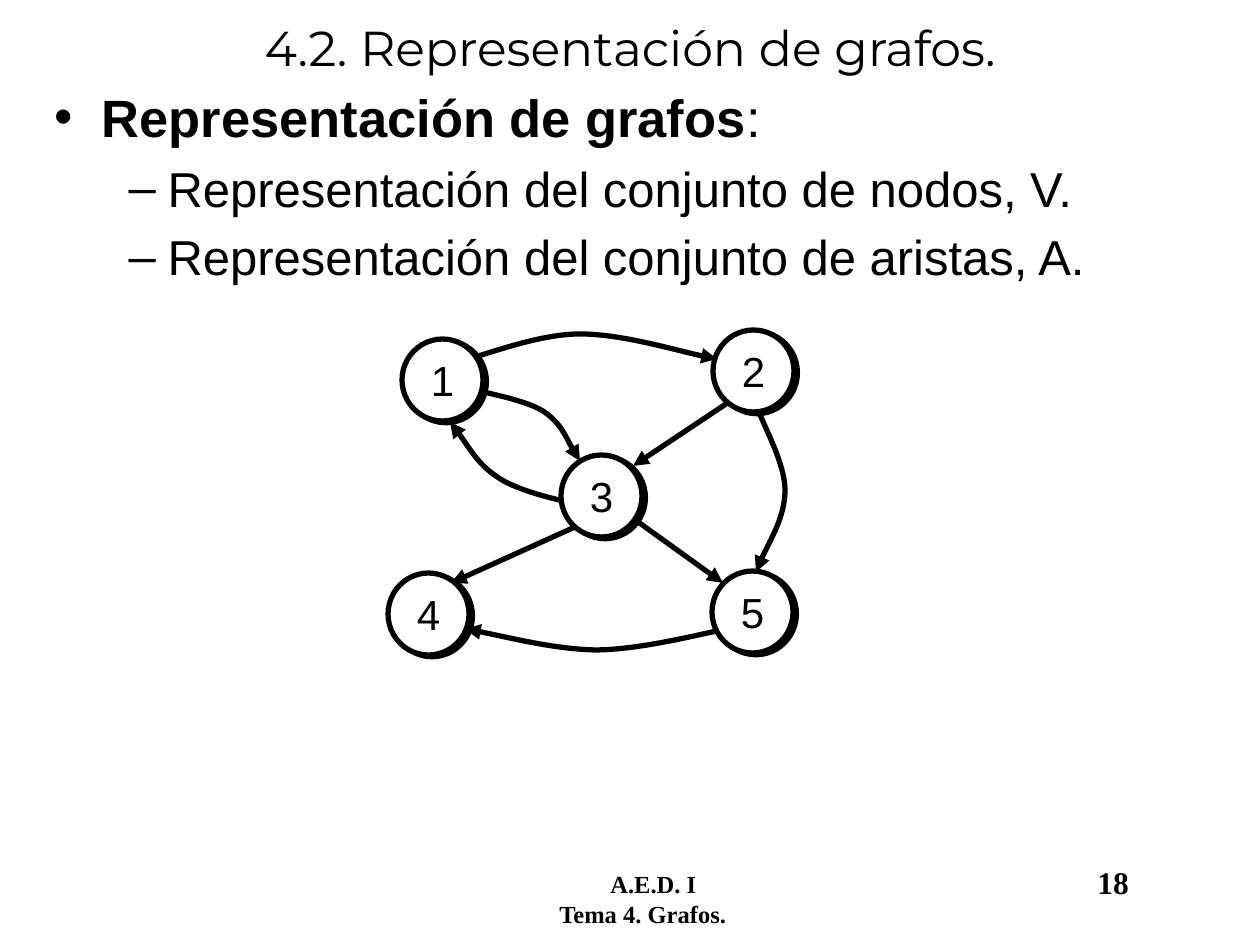
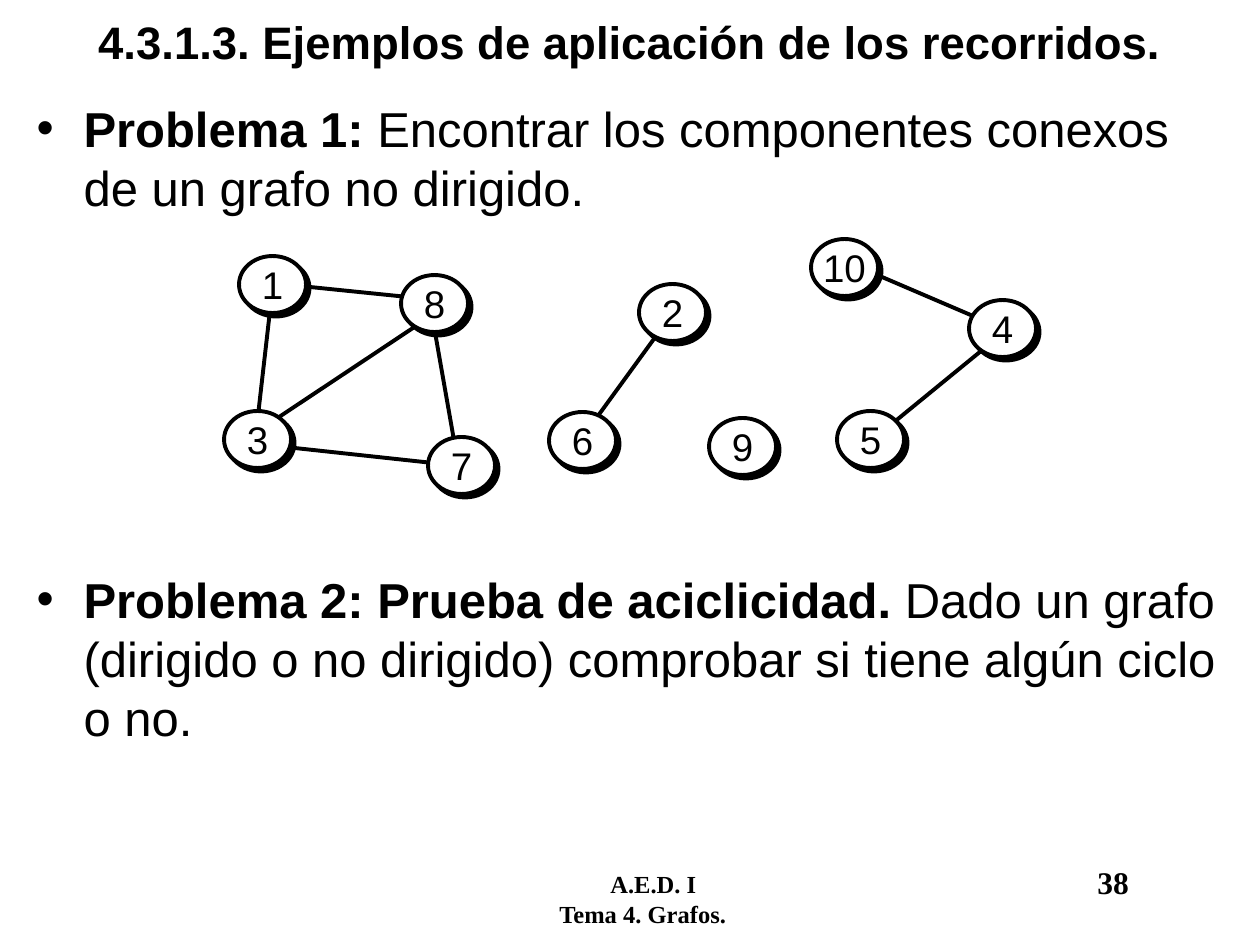
from lxml import etree
from pptx import Presentation
from pptx.dml.color import RGBColor
from pptx.enum.shapes import MSO_CONNECTOR, MSO_SHAPE
from pptx.enum.text import MSO_ANCHOR, MSO_AUTO_SIZE, PP_ALIGN
from pptx.oxml.ns import qn
from pptx.util import Pt

PX = 914400 / 126
WIDTH, HEIGHT = 1260, 945
INK, PAPER = "000000", "FFFFFF"
SANS, SERIF, DISPLAY = "Arial", "Times New Roman", "Montserrat"
OVAL, STRAIGHT = MSO_SHAPE.OVAL, MSO_CONNECTOR.STRAIGHT
MIDDLE, CENTER = MSO_ANCHOR.MIDDLE, PP_ALIGN.CENTER
NO_FIT = MSO_AUTO_SIZE.NONE
TITLE_AND_CONTENT = 1


def px(length):
    return round(length * PX)


def color(hex_text):
    return RGBColor.from_string(hex_text)


def set_font(font, size, name=SANS, bold=False):
    font.size, font.name, font.bold = Pt(size), name, bold
    font.color.rgb = color(INK)


def indent(paragraph, left, first=0):
    properties = paragraph._p.get_or_add_pPr()
    properties.set("marL", str(px(left)))
    properties.set("indent", str(px(first)))


def place(shape, left, top, width, height):
    shape.left, shape.top = px(left), px(top)
    shape.width, shape.height = px(width), px(height)


class GraphSlide:
    """Current slide with the line width, node size and shadow of its graph."""

    def __init__(self, deck, line_width, node_size, number_size, shadow):
        self.slide = deck.slides.add_slide(deck.slide_layouts[TITLE_AND_CONTENT])
        self.shapes = self.slide.shapes
        self.line_width = line_width
        self.node_size = node_size
        self.number_size = number_size
        self.shadow_distance, self.shadow_angle = shadow

    def title(self, text, height, size, name=SANS, bold=False):
        title = self.shapes.title
        place(title, 42, 0, 1176, height)
        title.text_frame.auto_size = NO_FIT
        title.text_frame.vertical_anchor = MIDDLE
        title.text_frame.text = text
        paragraph = title.text_frame.paragraphs[0]
        paragraph.alignment = CENTER
        set_font(paragraph.font, size, name, bold)

    def body(self, box, items):
        """Fill the list; an item is level, size, space before, bold text, plain text."""
        body = self.slide.placeholders[1]
        place(body, *box)
        frame = body.text_frame
        frame.auto_size = NO_FIT
        for position, (level, size, space, strong, plain) in enumerate(items):
            paragraph = frame.add_paragraph() if position else frame.paragraphs[0]
            paragraph.level = level
            indent(paragraph, *((113, -39) if level else (47, -47)))
            paragraph.space_before = Pt(space)
            set_font(paragraph.font, size)
            if strong:
                run = paragraph.add_run()
                run.text, run.font.bold = strong, True
            paragraph.add_run().text = plain

    def text_box(self, box, lines, size):
        """Write footer lines, each given as its left indent and its text."""
        frame = self.shapes.add_textbox(*map(px, box)).text_frame
        frame.word_wrap = True
        for position, (left, text) in enumerate(lines):
            paragraph = frame.add_paragraph() if position else frame.paragraphs[0]
            paragraph.text = text
            indent(paragraph, left)
            set_font(paragraph.font, size, SERIF, True)

    def footer(self, number):
        self.text_box((456, 863, 580, 70), [(142, "A.E.D. I"), (91, "Tema 4. Grafos.")], 14)
        self.text_box((1085, 857, 102, 50), [(0, number)], 18)

    def outline(self, shape, arrow=False):
        shape.line.color.rgb = color(INK)
        shape.line.width = Pt(self.line_width)
        if arrow:
            etree.SubElement(shape.line._get_or_add_ln(), qn("a:tailEnd"), type="triangle")

    def edge(self, start, end, arrow=False):
        line = self.shapes.add_connector(STRAIGHT, *map(px, start + end))
        self.outline(line, arrow)
        etree.SubElement(line._element.spPr, qn("a:effectLst"))

    def curved_arrow(self, *points):
        """Draw a Bézier arrow from a start point and triples of control points."""
        scaled = [(px(x), px(y)) for x, y in points]
        builder = self.shapes.build_freeform(*scaled[0])
        builder.add_line_segments(scaled[1:], close=False)
        curve = builder.convert_to_shape()
        steps = list(curve._element.iter(qn("a:lnTo")))
        for first in range(0, len(steps), 3):
            bezier = etree.Element(qn("a:cubicBezTo"))
            steps[first].addprevious(bezier)
            for step in steps[first:first + 3]:
                bezier.append(step[0])
                step.getparent().remove(step)
        curve.fill.background()
        self.outline(curve, arrow=True)
        curve.shadow.inherit = False

    def node(self, number, left, top):
        node = self.shapes.add_shape(OVAL, *map(px, (left, top, *self.node_size)))
        node.fill.solid()
        node.fill.fore_color.rgb = color(PAPER)
        self.outline(node)
        node.shadow.inherit = False
        shadow = etree.SubElement(
            node._element.spPr.find(qn("a:effectLst")), qn("a:outerShdw"),
            dist=str(Pt(self.shadow_distance)), dir=str(self.shadow_angle * 60000),
            algn="ctr", rotWithShape="0")
        etree.SubElement(shadow, qn("a:srgbClr"), val=INK)
        frame = node.text_frame
        frame.word_wrap = False
        frame.vertical_anchor = MIDDLE
        frame.text = str(number)
        frame.paragraphs[0].alignment = CENTER
        set_font(frame.paragraphs[0].font, self.number_size)


def representation_slide(deck):
    page = GraphSlide(deck, 3, (81, 82), 24, (2.2, 27))
    page.footer("18")
    page.curved_arrow((467, 359), (486, 355), (538, 334), (580, 334),
                      (621, 334), (688, 354), (717, 359))
    page.curved_arrow((473, 389), (484, 393), (523, 399), (543, 411),
                      (561, 423), (572, 450), (580, 461))
    nodes = {1: (402, 339), 2: (713, 330), 5: (712, 571), 4: (388, 573), 3: (561, 455)}
    for number, corner in nodes.items():
        page.node(number, *corner)
    page.curved_arrow((759, 412), (764, 426), (785, 464), (785, 490),
                      (785, 517), (762, 554), (756, 572))
    page.curved_arrow((717, 631), (697, 635), (638, 650), (595, 650),
                      (553, 649), (491, 633), (465, 629))
    page.curved_arrow((563, 501), (552, 498), (515, 490), (496, 476),
                      (478, 464), (460, 433), (450, 422))
    for start, end in (((726, 404), (633, 466)), ((575, 527), (451, 583)),
                       ((634, 519), (723, 583))):
        page.edge(start, end, arrow=True)
    page.title("4.2. Representación de grafos.", 94, 28, DISPLAY)
    page.body((42, 79, 1099, 239), [
        (0, 30, 0, "Representación de grafos", ":"),
        (1, 28, 5.6, "", "Representación del conjunto de nodos, V."),
        (1, 28, 5.6, "", "Representación del conjunto de aristas, A."),
    ])


def traversal_slide(deck):
    page = GraphSlide(deck, 2.25, (67, 57), 22, (2.8, 45))
    page.footer("38")
    page.title("4.3.1.3. Ejemplos de aplicación de los recorridos.", 82, 26, bold=True)
    page.body((24, 92, 1205, 701), [
        (0, 28, 0, "Problema 1: ",
         "Encontrar los componentes conexos de un grafo no dirigido."),
        (0, 28, 202, "Problema 2: Prueba de aciclicidad.",
         " Dado un grafo (dirigido o no dirigido) comprobar si tiene algún ciclo o no."),
    ])
    edges = [
        ((300, 286), (437, 300)), ((432, 315), (455, 446)), ((431, 316), (249, 437)),
        ((270, 311), (258, 416)), ((276, 446), (470, 467)), ((675, 310), (587, 431)),
        ((994, 325), (861, 268)), ((997, 338), (871, 441)),
    ]
    for start, end in edges:
        page.edge(start, end)
    nodes = {
        1: (239, 256), 2: (639, 284), 3: (224, 411), 7: (428, 437), 8: (401, 275),
        6: (549, 412), 4: (969, 300), 9: (709, 418), 5: (837, 411), 10: (811, 239),
    }
    for number, corner in nodes.items():
        page.node(number, *corner)


def main():
    deck = Presentation()
    deck.slide_width, deck.slide_height = px(WIDTH), px(HEIGHT)
    representation_slide(deck)
    traversal_slide(deck)
    deck.save("out.pptx")


if __name__ == "__main__":
    main()
